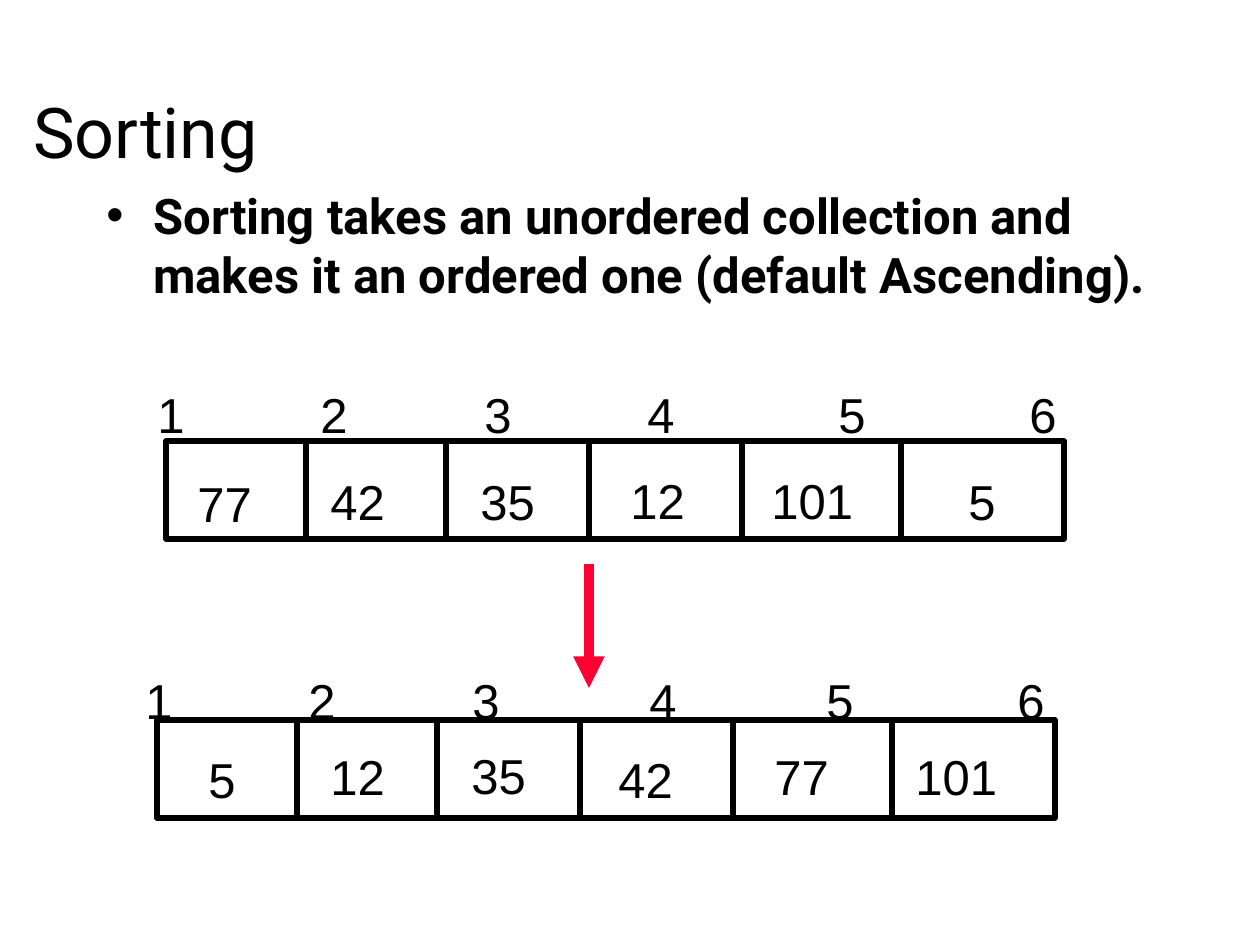
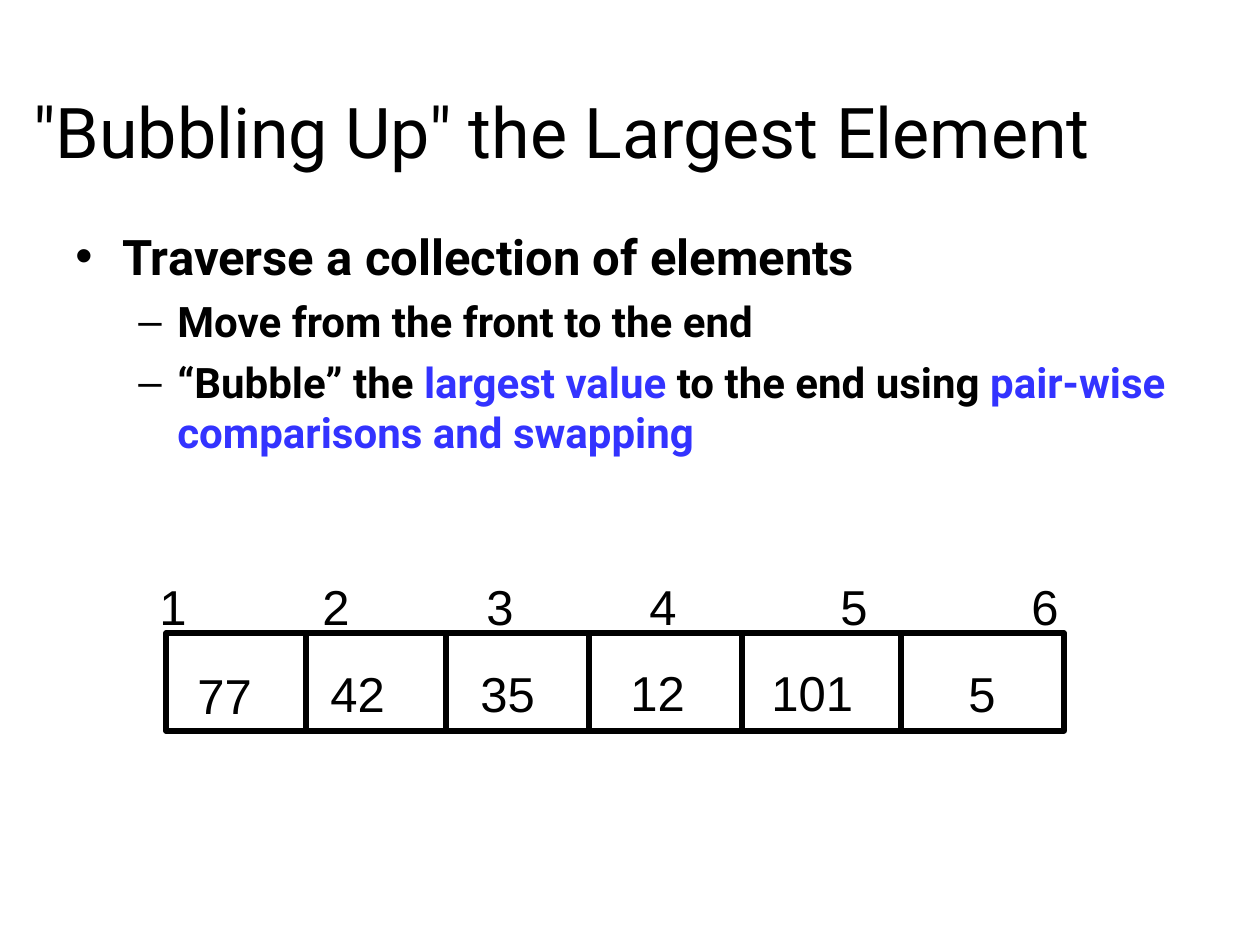
from dataclasses import dataclass
from itertools import accumulate

from lxml.etree import SubElement
from pptx import Presentation
from pptx.dml.color import RGBColor
from pptx.enum.shapes import MSO_CONNECTOR, MSO_SHAPE
from pptx.enum.text import MSO_ANCHOR, MSO_AUTO_SIZE
from pptx.oxml.ns import qn
from pptx.util import Emu, Pt


@dataclass(frozen=True)
class Theme:
    """Colours, fonts, type sizes and line widths shared by the slides."""
    ink: str = "000000"
    accent: str = "3333FF"
    arrow: str = "FF0033"
    heading_font: str = "Roboto"
    value_font: str = "Arial"
    title_size: int = 40
    body_size: int = 28
    detail_size: int = 24
    value_size: int = 28
    rule_width: int = 3
    arrow_width: int = 6


@dataclass(frozen=True)
class BulletLevel:
    """Marker, indents in px and type settings of one outline level."""
    marker: str
    margin: int
    hanging: int
    size: int
    space_before: int


THEME = Theme()
LEVELS = (BulletLevel("•", 47, 47, THEME.body_size, 7),
          BulletLevel("–", 102, 39, THEME.detail_size, 6))
PX = 914400 / 126
TITLE_BOX = (21, 63, 1134, 136)
ARRAY_SIZE = (898, 98)
DIVIDERS = (140, 280, 423, 576, 735)
UNSORTED = (("77", 19, 26), ("42", 152, 24), ("35", 302, 24),
            ("12", 452, 23), ("101", 593, 23), ("5", 790, 24))
SORTED = (("5", 39, 23), ("12", 161, 20), ("35", 302, 19),
          ("42", 449, 23), ("77", 605, 20), ("101", 746, 20))
UNSORTED_STEPS = (163, 164, 163, 191, 191)
SORTED_STEPS = (163, 164, 177, 177, 191)


def px(length):
    """Turn px into EMU."""
    return Emu(round(length * PX))


def style_run(run, font, size, color=THEME.ink, bold=False):
    """Set the type of one run."""
    run.font.name = font
    run.font.size = Pt(size)
    run.font.bold = bold
    run.font.color.rgb = RGBColor.from_string(color)


def add_text_box(shapes, box, wrap=True):
    """Add an empty text box and return its text frame."""
    frame = shapes.add_textbox(*map(px, box)).text_frame
    frame.word_wrap = wrap
    return frame


def add_rule(shapes, start, end, color=THEME.ink, width=THEME.rule_width):
    """Draw a straight line without a shadow."""
    rule = shapes.add_connector(MSO_CONNECTOR.STRAIGHT, *map(px, start + end))
    rule.line.color.rgb = RGBColor.from_string(color)
    rule.line.width = Pt(width)
    SubElement(rule._element.spPr, qn("a:effectLst"))
    return rule


def add_title(slide, title):
    """Place the slide title in the shared title box."""
    frame = add_text_box(slide.shapes, TITLE_BOX)
    frame.vertical_anchor = MSO_ANCHOR.MIDDLE
    frame.text = title
    style_run(frame.paragraphs[0].runs[0], THEME.heading_font, THEME.title_size)


def set_bullet(paragraph, level):
    """Give a paragraph the marker and hanging indent of its level."""
    paragraph.space_before = Pt(level.space_before)
    properties = paragraph._p.get_or_add_pPr()
    properties.set("marL", str(px(level.margin)))
    properties.set("indent", str(px(-level.hanging)))
    marker_color = SubElement(properties, qn("a:buClr"))
    SubElement(marker_color, qn("a:srgbClr"), val=THEME.ink)
    SubElement(properties, qn("a:buFont"), typeface=THEME.value_font)
    SubElement(properties, qn("a:buChar"), char=level.marker)


def add_outline(slide, box, points):
    """Write bullet points, each a level and its (text, colour) pieces."""
    frame = add_text_box(slide.shapes, box)
    for number, (depth, pieces) in enumerate(points):
        paragraph = frame.add_paragraph() if number else frame.paragraphs[0]
        paragraph.level = depth
        set_bullet(paragraph, LEVELS[depth])
        for text, color in pieces:
            run = paragraph.add_run()
            run.text = text
            style_run(run, THEME.heading_font, LEVELS[depth].size, color, True)


def add_indices(shapes, box, steps):
    """Number the cells from 1, one tab stop for each step."""
    frame = add_text_box(shapes, box)
    paragraph = frame.paragraphs[0]
    paragraph.text = "\t".join(str(index + 1) for index in range(len(steps) + 1))
    stops = SubElement(paragraph._p.get_or_add_pPr(), qn("a:tabLst"))
    for stop in accumulate(steps):
        SubElement(stops, qn("a:tab"), pos=str(px(stop)), algn="l")
    for run in paragraph.runs:
        style_run(run, THEME.value_font, THEME.value_size)


def add_array(slide, left, top, values, steps, index_offset):
    """Draw a six-cell array with its values and index row."""
    shapes = slide.shapes.add_group_shape().shapes
    width, height = ARRAY_SIZE
    frame = shapes.add_shape(MSO_SHAPE.RECTANGLE,
                             *map(px, (left, top, width, height)))
    frame.shadow.inherit = False
    frame.fill.background()
    frame.line.color.rgb = RGBColor.from_string(THEME.ink)
    frame.line.width = Pt(THEME.rule_width)
    for divider in DIVIDERS:
        add_rule(shapes, (left + divider, top), (left + divider, top + height))
    for value, across, down in values:
        box = (left + across, top + down, 26 + 27 * len(value), 72)
        cell = add_text_box(shapes, box, wrap=False)
        cell.auto_size = MSO_AUTO_SIZE.SHAPE_TO_FIT_TEXT
        cell.text = value
        style_run(cell.paragraphs[0].runs[0], THEME.value_font, THEME.value_size)
    across, down = index_offset
    add_indices(shapes, (left + across, top + down, 976, 72), steps)


def add_sort_arrow(slide, start, end):
    """Point from the unsorted array to the sorted one."""
    arrow = add_rule(slide.shapes, start, end, THEME.arrow, THEME.arrow_width)
    SubElement(arrow.line._get_or_add_ln(), qn("a:tailEnd"), type="triangle")


def build_sorting(slide):
    """Show an array before and after sorting."""
    add_title(slide, "Sorting")
    add_outline(slide, (94, 179, 1071, 609), [
        (0, [("Sorting takes an unordered collection and makes it an ordered "
              "one (default Ascending).", THEME.ink)])])
    add_array(slide, 166, 441, UNSORTED, UNSORTED_STEPS, (-21, -63))
    add_array(slide, 157, 720, SORTED, SORTED_STEPS, (-24, -56))
    add_sort_arrow(slide, (589, 564), (589, 688))


def build_bubbling(slide):
    """Explain how the largest value moves to the end."""
    add_title(slide, '"Bubbling Up" the Largest Element')
    add_outline(slide, (63, 220, 1137, 625), [
        (0, [("Traverse a collection of elements", THEME.ink)]),
        (1, [("Move from the front to the end", THEME.ink)]),
        (1, [("“Bubble” the ", THEME.ink),
             ("largest value", THEME.accent),
             (" to the end using ", THEME.ink),
             ("pair-wise comparisons and swapping", THEME.accent)])])
    add_array(slide, 166, 633, UNSORTED, UNSORTED_STEPS, (-19, -63))


def main():
    """Build and save the presentation."""
    presentation = Presentation()
    presentation.slide_width = px(1260)
    presentation.slide_height = px(945)
    blank = presentation.slide_layouts[6]
    for build in (build_sorting, build_bubbling):
        build(presentation.slides.add_slide(blank))
    presentation.save("out.pptx")


if __name__ == "__main__":
    main()
